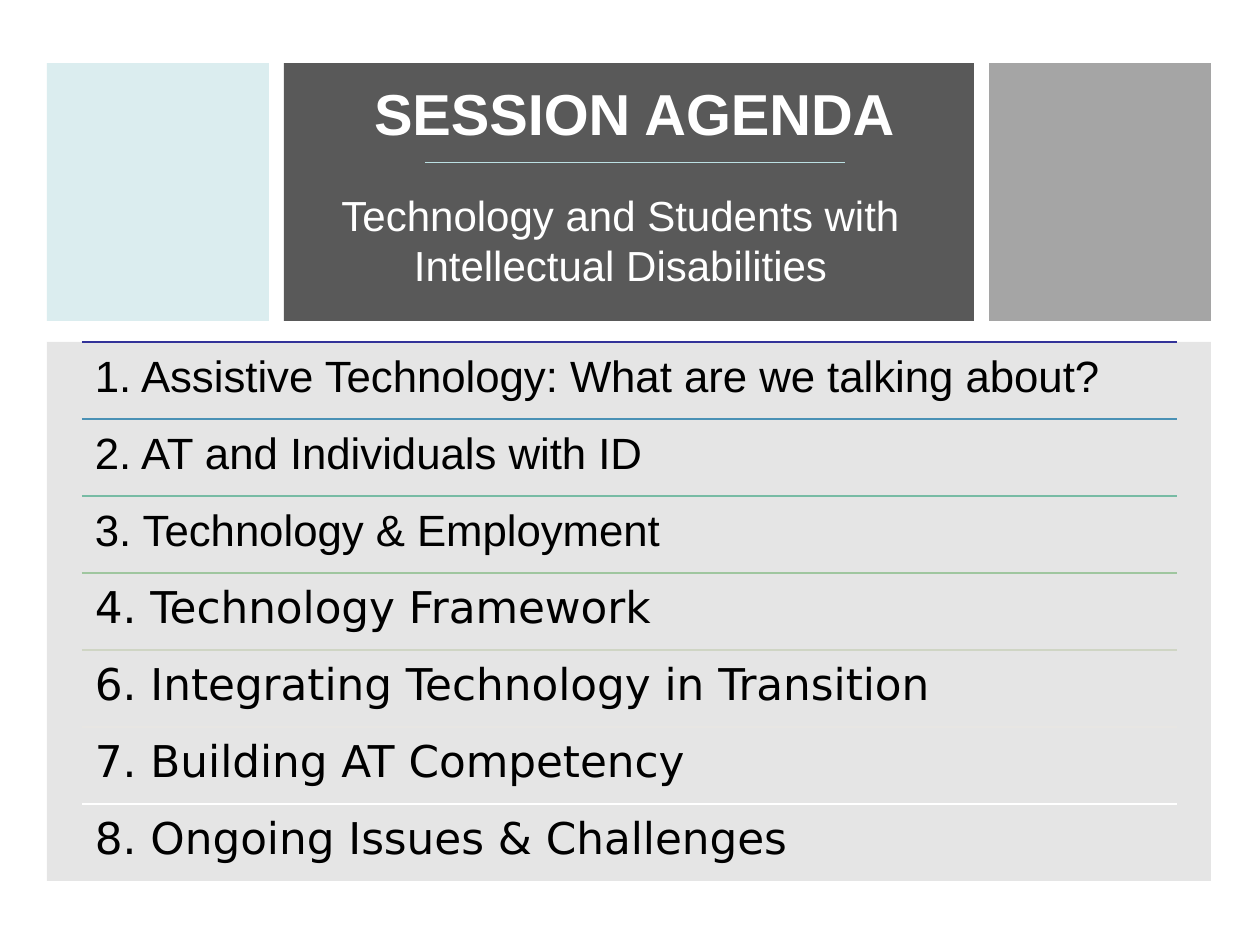
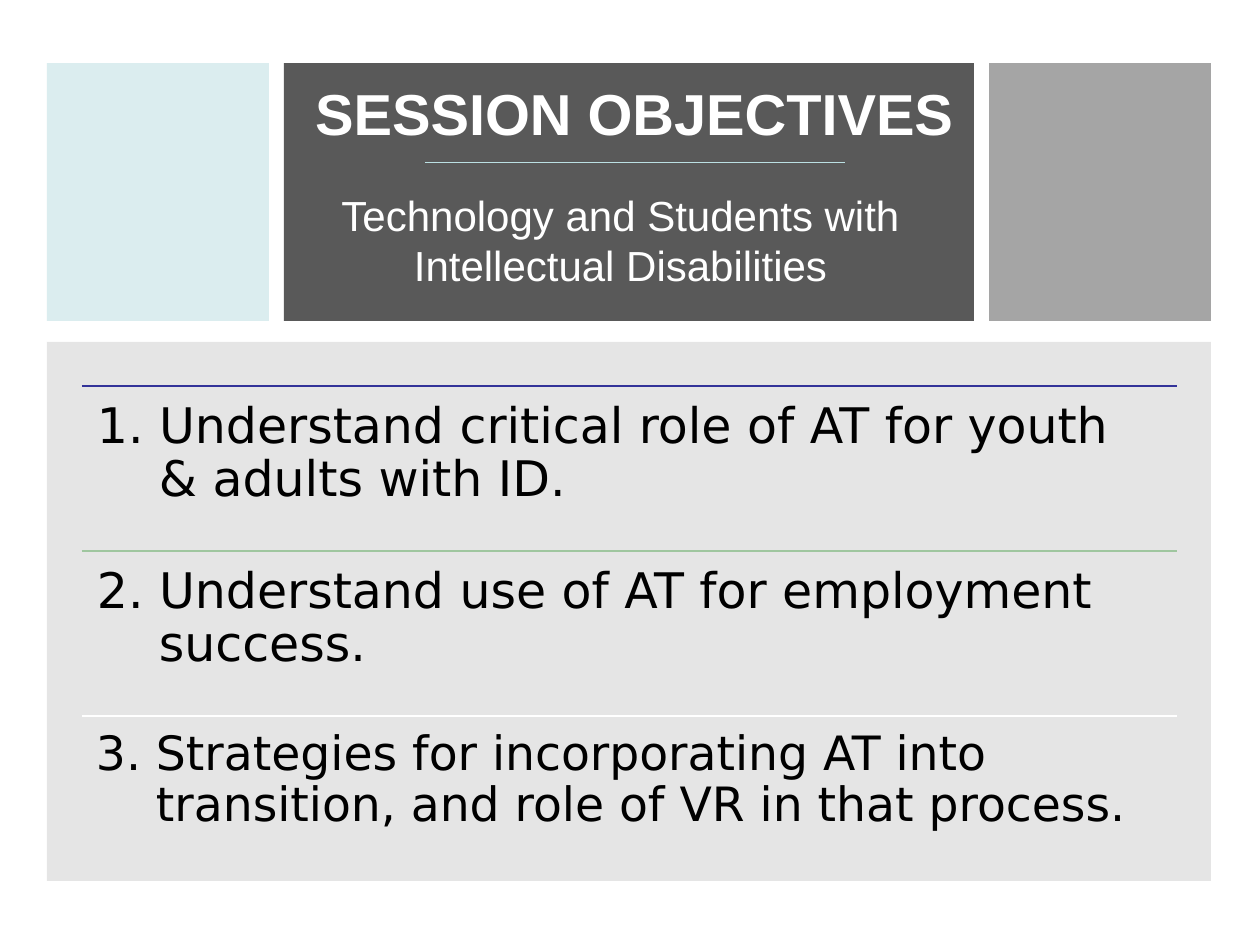
from pptx import Presentation
from pptx.dml.color import RGBColor
from pptx.enum.shapes import MSO_CONNECTOR, MSO_SHAPE
from pptx.enum.text import MSO_ANCHOR, MSO_AUTO_SIZE, PP_ALIGN
from pptx.oxml.ns import qn
from pptx.util import Emu, Pt
from lxml.etree import SubElement

ARIAL, DEJA = "Arial", "DejaVu Sans"
SUB = "Technology and Students with Intellectual Disabilities"
DECK = [
    {"title": "SESSION AGENDA", "step": 77, "rows": [
        ("1. Assistive Technology: What are we talking about?", 25, ARIAL, "navy"),
        ("2. AT and Individuals with ID", 25, ARIAL, "blue"),
        ("3. Technology & Employment", 25, ARIAL, "teal"),
        ("4. Technology Framework", 25, DEJA, "green"),
        ("6. Integrating Technology in Transition", 25, DEJA, "sage"),
        ("7. Building AT Competency", 25, DEJA, "sand"),
        ("8. Ongoing Issues & Challenges", 25, DEJA, "white"),
    ]},
    {"title": "SESSION OBJECTIVES", "step": 165, "rows": [
        ("1. Understand critical role of AT for youth\v& adults with ID.", 28, DEJA, "navy"),
        ("2. Understand use of AT for employment\vsuccess.", 28, DEJA, "green"),
        ("3. Strategies for incorporating AT into\vtransition, and role of VR in that process.", 27, DEJA, "white"),
    ]},
]
HEX = {
    "navy": "333399", "blue": "4A91B5", "teal": "77BBA4", "green": "9FC69F",
    "sage": "CFD5C4", "sand": "E8E6E3", "white": "FFFFFF", "black": "000000",
    "dark": "595959", "gray": "A5A5A5", "mid": "808080", "pale": "DAEDEF",
    "aqua": "BBE0E3",
}
BANDS = [
    ((47, 63, 222, 258), "pale", 95),
    ((284, 63, 690, 258), "dark", 100),
    ((989, 63, 222, 258), "gray", 100),
    ((47, 342, 1164, 539), "mid", 20),
]
LEFT, WIDTH, BASE = 82, 1095, 881
SCALE = 914400 / 126


def px(*nums):
    return [Emu(round(n * SCALE)) for n in nums]


def rgb(name):
    return RGBColor.from_string(HEX[name])


def apply(item, vals):
    for key, val in vals.items():
        setattr(item, key, val)


def band(slide, box, tint, alpha):
    shape = slide.shapes.add_shape(MSO_SHAPE.RECTANGLE, *px(*box))
    shape.shadow.inherit = False
    shape.fill.solid()
    shape.fill.fore_color.rgb = rgb(tint)
    shape.line.fill.background()
    if alpha < 100:
        color = shape._element.spPr.find(qn("a:solidFill"))[0]
        SubElement(color, qn("a:alpha"), val=str(alpha * 1000))


def rule(slide, left, top, width, tint, size):
    line = slide.shapes.add_connector(
        MSO_CONNECTOR.STRAIGHT, *px(left, top, left + width, top))
    line.line.color.rgb = rgb(tint)
    line.line.width = Pt(size)
    SubElement(line._element.spPr, qn("a:effectLst"))


def write(shape, text, font, frame={}, para={}):
    body = shape.text_frame
    apply(body, {"word_wrap": True, "auto_size": MSO_AUTO_SIZE.NONE, **frame})
    line = body.paragraphs[0]
    line.text = text
    apply(line, para)
    size, face, tint, bold = font
    for run in line.runs:
        apply(run.font, {"size": Pt(size), "name": face, "bold": bold})
        run.font.color.rgb = rgb(tint)


def head(slide, text):
    title = slide.shapes.title
    apply(title, dict(zip(("left", "top", "width", "height"), px(295, 63, 679, 98))))
    mid = {"alignment": PP_ALIGN.CENTER}
    write(title, text, (33, ARIAL, "white", True),
          {"vertical_anchor": MSO_ANCHOR.MIDDLE}, mid)
    rule(slide, 425, 162, 420, "aqua", 0.5)
    box = slide.shapes.add_textbox(*px(286, 183, 669, 115))
    write(box, SUB, (24, ARIAL, "white", False), para=mid)


def entry(slide, top, step, text, size, face, tint):
    rule(slide, LEFT, top, WIDTH, tint, 1)
    box = slide.shapes.add_textbox(*px(LEFT, top, WIDTH, step))
    pad, = px(round(size * 0.53))
    sides = ("left", "top", "right", "bottom")
    write(box, text, (size, face, "black", False),
          {f"margin_{side}": pad for side in sides}, {"line_spacing": 0.9})
    if "\v" in text:
        hang, = px(round(size * 2.22))
        props = box.text_frame.paragraphs[0]._p.get_or_add_pPr()
        props.set("marL", str(hang))
        props.set("indent", str(-hang))


def main():
    deck = Presentation()
    deck.slide_width, deck.slide_height = px(1260, 945)
    for page in DECK:
        slide = deck.slides.add_slide(deck.slide_layouts[5])
        tree = slide.shapes._spTree
        title = slide.shapes.title._element
        for part in BANDS:
            band(slide, *part)
        tree.append(title)
        head(slide, page["title"])
        step, rows = page["step"], page["rows"]
        start = BASE - step * len(rows)
        for num, row in enumerate(rows):
            entry(slide, start + num * step, step, *row)
    deck.save("out.pptx")


if __name__ == "__main__":
    main()
